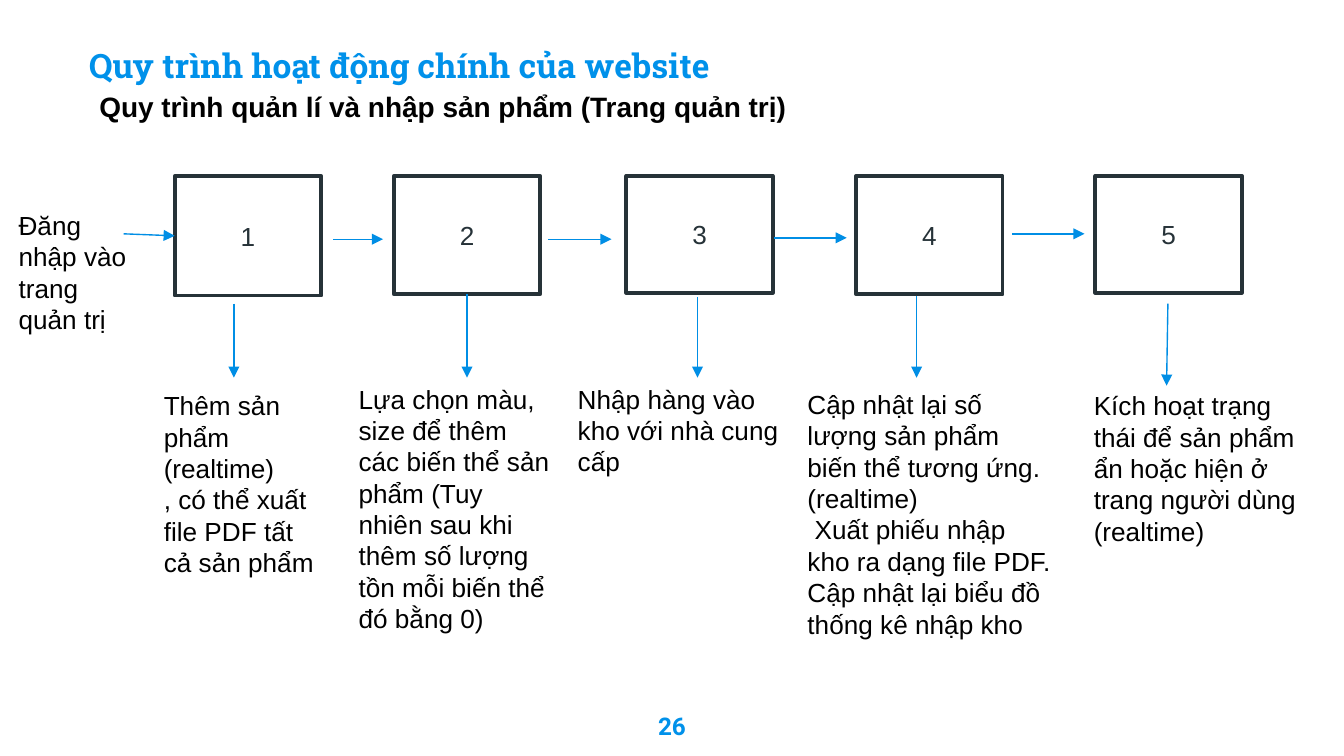
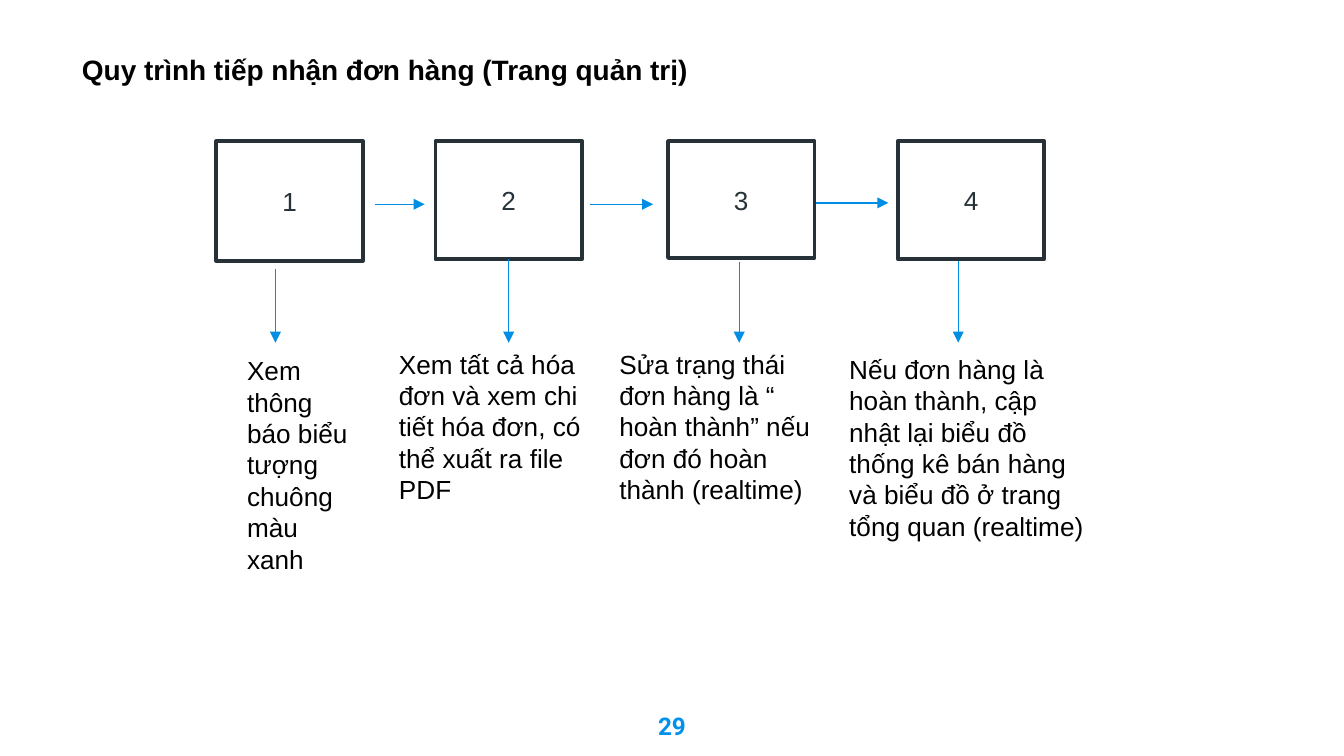
from lxml import etree
from pptx import Presentation
from pptx.dml.color import RGBColor
from pptx.enum.shapes import MSO_CONNECTOR, MSO_SHAPE
from pptx.enum.text import MSO_ANCHOR, MSO_AUTO_SIZE, PP_ALIGN
from pptx.oxml.ns import qn
from pptx.util import Inches, Pt

STRAIGHT = MSO_CONNECTOR.STRAIGHT
RECT = MSO_SHAPE.RECTANGLE
TOP, MIDDLE = MSO_ANCHOR.TOP, MSO_ANCHOR.MIDDLE
LEFT, CENTER = PP_ALIGN.LEFT, PP_ALIGN.CENTER
GROW, FIXED = MSO_AUTO_SIZE.SHAPE_TO_FIT_TEXT, MSO_AUTO_SIZE.NONE
SIDE_LEFT, SIDE_BOTTOM = 1, 2

COLORS = {"accent": "0091EA", "arrow": "008EE5", "box": "263238",
          "text": "000000", "paper": "FFFFFF"}

STYLES = {
    "title": ("Roboto Slab", 18, "accent", True),
    "subtitle": ("Arial", 15, "text", True),
    "number": ("Roboto", 13, "accent", True),
    "box": ("Arial", 14, "box", False),
    "note": ("Arial", 14, "text", False),
}

SLIDES = [
    {
        "number": "26",
        "title": (" Quy trình hoạt động chính của website", (0.5, 0.22, 5.64, 0.53)),
        "subtitle": ("Quy trình quản lí và nhập sản phẩm (Trang quản trị)",
                     (0.64, 0.62, 5.78, 0.35)),
        "entry": ("Đăng nhập vào trang quản trị", (0.04, 1.51, 1, 1.04)),
        "shift": (0, 0),
        "notes": [
            ("Thêm sản phẩm (realtime)\n, có thể xuất file PDF tất cả sản phẩm",
             (1.12, 2.85, 1.32, 1.51)),
            ("Lựa chọn màu, size để thêm các biến thể sản phẩm (Tuy nhiên sau khi "
             "thêm số lượng tồn mỗi biến thể đó bằng 0)", (2.57, 2.8, 1.63, 1.99)),
            ("Nhập hàng vào kho với nhà cung cấp", (4.2, 2.8, 1.71, 0.81)),
            ("Cập nhật lại số lượng sản phẩm biến thể tương ứng. (realtime)\n"
             " Xuất phiếu nhập kho ra dạng file PDF.\n"
             "Cập nhật lại biểu đồ thống kê nhập kho", (5.91, 2.84, 2.03, 1.99)),
            ("Kích hoạt trạng thái để sản phẩm ẩn hoặc hiện ở trang người dùng "
             "(realtime)", (8.04, 2.85, 1.76, 1.51)),
        ],
    },
    {
        "number": "29",
        "subtitle": ("Quy trình tiếp nhận đơn hàng (Trang quản trị)",
                     (0.51, 0.34, 5.13, 0.35)),
        "shift": (0.31, -0.26),
        "notes": [
            ("Xem thông báo biểu tượng chuông màu xanh", (1.74, 2.59, 1, 1.75)),
            ("Xem tất cả hóa đơn và xem chi tiết hóa đơn, có thể xuất ra file PDF",
             (2.87, 2.54, 1.63, 1.28)),
            ("Sửa trạng thái đơn hàng là “ hoàn thành” nếu đơn đó hoàn thành (realtime)",
             (4.51, 2.54, 1.71, 1.28)),
            ("Nếu đơn hàng là hoàn thành, cập nhật lại biểu đồ thống kê bán hàng và "
             "biểu đồ ở trang tổng quan (realtime)", (6.22, 2.58, 2.01, 1.51)),
        ],
    },
]

BOX_TOP, BOX_WIDTH = 1.31, 1.09
BOXES = [(1.3, 0.89), (2.93, 0.88), (4.66, 0.87), (6.37, 0.88), (8.15, 0.87)]
DOWN_ARROWS = [(1.74, 2.26, 1.74, 2.81), (3.48, 2.19, 3.48, 2.81),
               (5.19, 2.21, 5.19, 2.81), (6.82, 2.2, 6.82, 2.81),
               (8.69, 2.26, 8.68, 2.87)]
NEXT_ARROWS = [(2.48, 1.78, 2.85, 1.78), (4.08, 1.78, 4.55, 1.78),
               (5.76, 1.77, 6.3, 1.77), (7.53, 1.74, 8.07, 1.74)]
ENTRY_ARROW = (0.92, 1.74, 1.3, 1.75)
JOINED_BOX = 1


def rgb(name):
    return RGBColor.from_string(COLORS[name])


def write(sp, text, style, align=LEFT, anchor=TOP, inset=0.05, size=FIXED):
    font, points, color, bold = STYLES[style]
    tf = sp.text_frame
    tf.text = text
    tf.word_wrap = True
    tf.auto_size = size
    tf.vertical_anchor = anchor
    tf.margin_left = tf.margin_right = Inches(0.1)
    tf.margin_top = tf.margin_bottom = Inches(inset)
    for p in tf.paragraphs:
        p.alignment = align
        for r in p.runs:
            r.font.name = font
            r.font.size = Pt(points)
            r.font.bold = bold
            r.font.color.rgb = rgb(color)


def add_text(slide, text, rect, style, **layout):
    sp = slide.shapes.add_textbox(*map(Inches, rect))
    write(sp, text, style, **layout)


def set_title(slide, text, rect, style, **layout):
    sp = slide.shapes.title
    sp.left, sp.top, sp.width, sp.height = map(Inches, rect)
    write(sp, text, style, **layout)


def add_box(slide, label, x, y, height):
    sp = slide.shapes.add_shape(RECT, *map(Inches, (x, y, BOX_WIDTH, height)))
    sp.shadow.inherit = False
    sp.fill.solid()
    sp.fill.fore_color.rgb = rgb("paper")
    sp.line.color.rgb = rgb("box")
    sp.line.width = Pt(2)
    write(sp, label, "box", align=CENTER, anchor=MIDDLE)
    return sp


def add_arrow(slide, ends, dx=0, dy=0):
    x1, y1, x2, y2 = ends
    line = slide.shapes.add_connector(
        STRAIGHT, *map(Inches, (x1 + dx, y1 + dy, x2 + dx, y2 + dy)))
    line.line.color.rgb = rgb("arrow")
    line.line.width = Pt(0.75)
    etree.SubElement(line.line._get_or_add_ln(), qn("a:tailEnd"), type="triangle")
    etree.SubElement(line._element.spPr, qn("a:effectLst"))
    return line


def add_headings(slide, content):
    if "title" in content:
        set_title(slide, *content["title"], "title", anchor=MIDDLE, inset=0.1)
        add_text(slide, *content["subtitle"], "subtitle", size=GROW)
    else:
        set_title(slide, *content["subtitle"], "subtitle", size=GROW)


def add_flow(slide, content):
    dx, dy = content["shift"]
    notes = content["notes"]
    boxes = []
    for i, (note, (x, height), ends) in enumerate(zip(notes, BOXES, DOWN_ARROWS)):
        box = add_box(slide, str(i + 1), x + dx, BOX_TOP + dy, height)
        boxes.append(box)
        add_text(slide, *note, "note", size=GROW)
        arrow = add_arrow(slide, ends, dx, dy)
        if i == JOINED_BOX:
            arrow.begin_connect(box, SIDE_BOTTOM)
            arrow.end_x = arrow.begin_x
    for ends in NEXT_ARROWS[:len(notes) - 1]:
        add_arrow(slide, ends, dx, dy)
    if "entry" in content:
        add_text(slide, *content["entry"], "note", size=GROW)
        add_arrow(slide, ENTRY_ARROW).end_connect(boxes[0], SIDE_LEFT)


def main():
    prs = Presentation()
    prs.slide_width = Inches(10)
    prs.slide_height = prs.slide_width * 9 // 16
    for content in SLIDES:
        slide = prs.slides.add_slide(prs.slide_layouts[5])
        add_headings(slide, content)
        add_flow(slide, content)
        add_text(slide, content["number"], (0, 5.19, 10, 0.43), "number",
                 align=CENTER, inset=0.1)
    prs.save("out.pptx")


if __name__ == "__main__":
    main()
